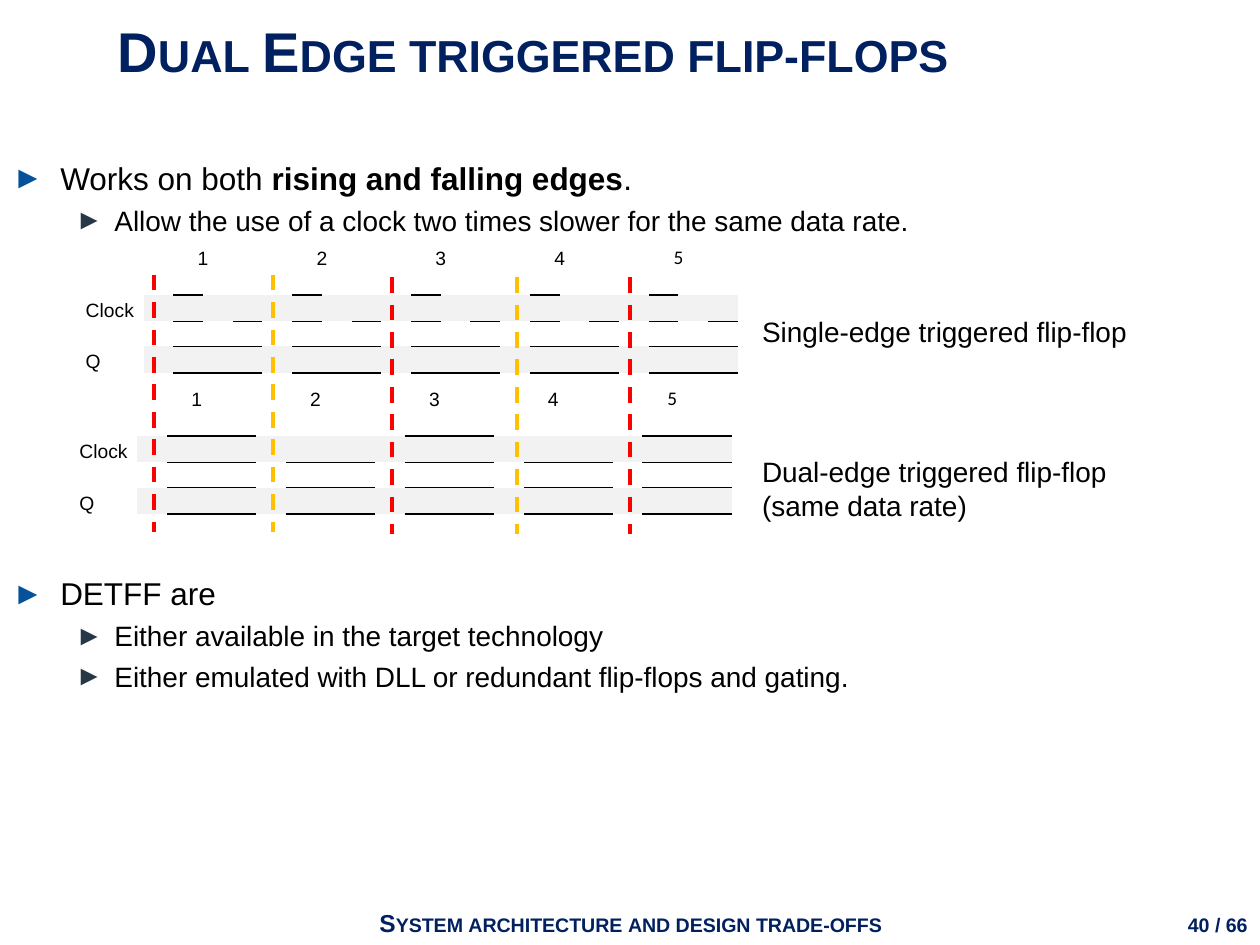
from lxml.etree import SubElement
from pptx import Presentation
from pptx.dml.color import RGBColor
from pptx.enum.dml import MSO_LINE
from pptx.enum.shapes import MSO_CONNECTOR
from pptx.enum.text import MSO_ANCHOR, MSO_AUTO_SIZE, PP_ALIGN
from pptx.oxml import parse_xml
from pptx.oxml.ns import nsdecls, qn
from pptx.util import Inches, Pt

THEME = {
    "font": "Arial", "last_cycle_font": "Calibri",
    "navy": "002060", "black": "000000", "band": "F2F2F2",
    "rising": "FF0000", "falling": "FFC000",
    "title": 32, "bullet": 18, "text": 16, "footer": 14, "table": 11, "empty": 4,
}
LEVELS = [  # text indent, hanging indent, bullet colour, type size
    (0.38, 0.38, "05529A", THEME["bullet"]),
    (0.81, 0.31, "263746", THEME["text"]),
]

TITLE = "Dual Edge triggered flip-flops"
FOOTER = "System architecture and design trade-offs"
PAGE = "40 / 66"

BULLET_GROUPS = [  # top, [(level, [(text, bold), ...]), ...]
    (1.21, [
        (0, [("Works on both ", False), ("rising and falling edges", True), (".", False)]),
        (1, [("Allow the use of a clock two times slower for the same data rate.", False)]),
    ]),
    (4.51, [
        (0, [("DETFF are", False)]),
        (1, [("Either available in the target technology", False)]),
        (1, [("Either emulated with DLL or redundant flip-flops and gating.", False)]),
    ]),
]

CYCLES, PHASES = 5, 4
FULL, NONE = (1, 2, 3), ()
# Each signal lists the (high, low) phases of successive cycles, repeated in turn.
Q_DATA = [(FULL, FULL)]
DIAGRAMS = [
    {"left": 0.67, "top": 1.93, "signals": [("Clock", [((1,), (3,))]), ("Q", Q_DATA)],
     "caption": ["Single-edge triggered flip-flop"], "caption_top": 2.45},
    {"left": 0.62, "top": 3.05, "signals": [("Clock", [(FULL, NONE), (NONE, FULL)]), ("Q", Q_DATA)],
     "caption": ["Dual-edge triggered flip-flop", "(same data rate)"], "caption_top": 3.56},
]
LABEL_WIDTH, WAVE_WIDTH = 0.47, 4.72
ROW_HEIGHT, GAP_HEIGHT = 0.21, 0.2

EDGES = [(1.22, 2.18), (2.17, 2.18), (3.11, 2.2), (4.1, 2.2), (5, 2.2)]  # x, top
EDGE_LENGTH = 2.04


def color(name):
    return RGBColor.from_string(THEME.get(name, name))


def write(paragraph, text, size, fill="black", bold=False, font=THEME["font"],
          align=None, small_caps=False):
    run = paragraph.add_run()
    run.text = text
    run.font.name, run.font.size, run.font.bold = font, Pt(size), bold
    run.font.color.rgb = color(fill)
    if align is not None:
        paragraph.alignment = align
    if small_caps:
        run.font._element.set("cap", "small")


def add_text_frame(slide, left, top, width, height):
    frame = slide.shapes.add_textbox(*map(Inches, (left, top, width, height))).text_frame
    frame.word_wrap = True
    return frame


def next_paragraph(frame, index):
    return frame.add_paragraph() if index else frame.paragraphs[0]


def add_heading(slide):
    title = slide.shapes.title
    title.left, title.top, title.width, title.height = map(Inches, (0, 0, 8.46, 0.79))
    title.text_frame.auto_size = MSO_AUTO_SIZE.NONE
    title.text_frame.vertical_anchor = MSO_ANCHOR.MIDDLE
    write(title.text_frame.paragraphs[0], TITLE, THEME["title"], fill="navy", bold=True,
          align=PP_ALIGN.CENTER, small_caps=True)


def add_footer(slide):
    for text, left, width, align in [(PAGE, 9.2, 0.8, PP_ALIGN.RIGHT),
                                     (FOOTER, 2.8, 4.41, PP_ALIGN.CENTER)]:
        frame = add_text_frame(slide, left, 7.16, width, 0.34)
        write(frame.paragraphs[0], text, THEME["footer"], fill="navy", bold=True,
              align=align, small_caps=True)


def add_bullets(slide, top, items):
    frame = add_text_frame(slide, 0, top, 8.58, 0.1 + 0.32 * len(items))
    for index, (level, runs) in enumerate(items):
        indent, hanging, bullet_color, size = LEVELS[level]
        paragraph = next_paragraph(frame, index)
        paragraph.level = level
        paragraph.space_before = Pt(3.8 if index else 0)
        properties = paragraph._p.get_or_add_pPr()
        properties.set("marL", str(Inches(indent)))
        properties.set("indent", str(-Inches(hanging)))
        SubElement(SubElement(properties, qn("a:buClr")), qn("a:srgbClr"), val=bullet_color)
        SubElement(properties, qn("a:buFont"), typeface=THEME["font"])
        SubElement(properties, qn("a:buChar"), char="►")
        for text, bold in runs:
            write(paragraph, text, size, bold=bold)


def add_border(cell, side):
    """Put a thin black line on the side "lnT" (top) or "lnB" (bottom)."""
    cell._tc.get_or_add_tcPr().insert(0, parse_xml(
        f'<a:{side} {nsdecls("a")} w="{Pt(1)}"><a:solidFill>'
        f'<a:srgbClr val="{THEME["black"]}"/></a:solidFill></a:{side}>'))


def clear_cell(cell):
    cell.fill.background()
    cell.margin_left = cell.margin_right = cell.margin_top = Inches(0.01)
    cell.margin_bottom = 0
    cell.vertical_anchor = MSO_ANCHOR.BOTTOM
    SubElement(cell.text_frame.paragraphs[0]._p, qn("a:endParaRPr"),
               sz=str(THEME["empty"] * 100))


def add_timing_table(slide, left, top, signals):
    heights = [ROW_HEIGHT] + [GAP_HEIGHT, ROW_HEIGHT] * len(signals)
    widths = [LABEL_WIDTH] + [WAVE_WIDTH / (CYCLES * PHASES)] * (CYCLES * PHASES)
    table = slide.shapes.add_table(
        len(heights), len(widths),
        *map(Inches, (left, top, sum(widths), sum(heights)))).table
    table.first_row = table.horz_banding = False
    style = table._tbl.tblPr.find(qn("a:tableStyleId"))
    style.text = "{2D5ABB26-0587-4C30-8999-92F81FD0307C}"  # no style, no grid
    for row, height in zip(table.rows, heights):
        row.height = Inches(height)
    for column, width in zip(table.columns, widths):
        column.width = Inches(width)
    for cell in table.iter_cells():
        clear_cell(cell)

    for cycle in range(CYCLES):
        first = 1 + cycle * PHASES
        header = table.cell(0, first)
        header.merge(table.cell(0, first + PHASES - 1))
        font = THEME["last_cycle_font" if cycle == CYCLES - 1 else "font"]
        write(header.text_frame.paragraphs[0], str(cycle + 1), THEME["table"],
              font=font, align=PP_ALIGN.CENTER)

    for index, (label, pattern) in enumerate(signals):
        row = 2 + 2 * index
        write(table.cell(row, 0).text_frame.paragraphs[0], label, THEME["table"])
        for step in range(CYCLES * PHASES):
            cycle, phase = divmod(step, PHASES)
            high, low = pattern[cycle % len(pattern)]
            cell = table.cell(row, step + 1)
            cell.fill.solid()
            cell.fill.fore_color.rgb = color("band")
            if phase in low:
                add_border(cell, "lnB")
            if phase in high:
                add_border(cell, "lnT")
                add_border(table.cell(row - 1, step + 1), "lnB")


def add_edge(slide, x, top, fill):
    line = slide.shapes.add_connector(
        MSO_CONNECTOR.STRAIGHT, *map(Inches, (x, top, x, top + EDGE_LENGTH)))
    line.line.color.rgb = color(fill)
    line.line.width = Pt(2.25)
    line.line.dash_style = MSO_LINE.DASH
    SubElement(line._element.spPr, qn("a:effectLst"))


def main():
    presentation = Presentation()
    presentation.slide_width, presentation.slide_height = Inches(10), Inches(7.5)
    slide = presentation.slides.add_slide(presentation.slide_layouts[5])
    add_heading(slide)
    add_footer(slide)
    for top, items in BULLET_GROUPS:
        add_bullets(slide, top, items)
    for diagram in DIAGRAMS:
        add_timing_table(slide, diagram["left"], diagram["top"], diagram["signals"])
    for index, (x, top) in enumerate(EDGES):
        add_edge(slide, x, top, "falling" if index % 2 else "rising")
    for diagram in DIAGRAMS:
        lines = diagram["caption"]
        frame = add_text_frame(slide, 5.95, diagram["caption_top"], 3.4, 0.1 + 0.27 * len(lines))
        for index, text in enumerate(lines):
            write(next_paragraph(frame, index), text, THEME["text"])
    presentation.save("out.pptx")


if __name__ == "__main__":
    main()
